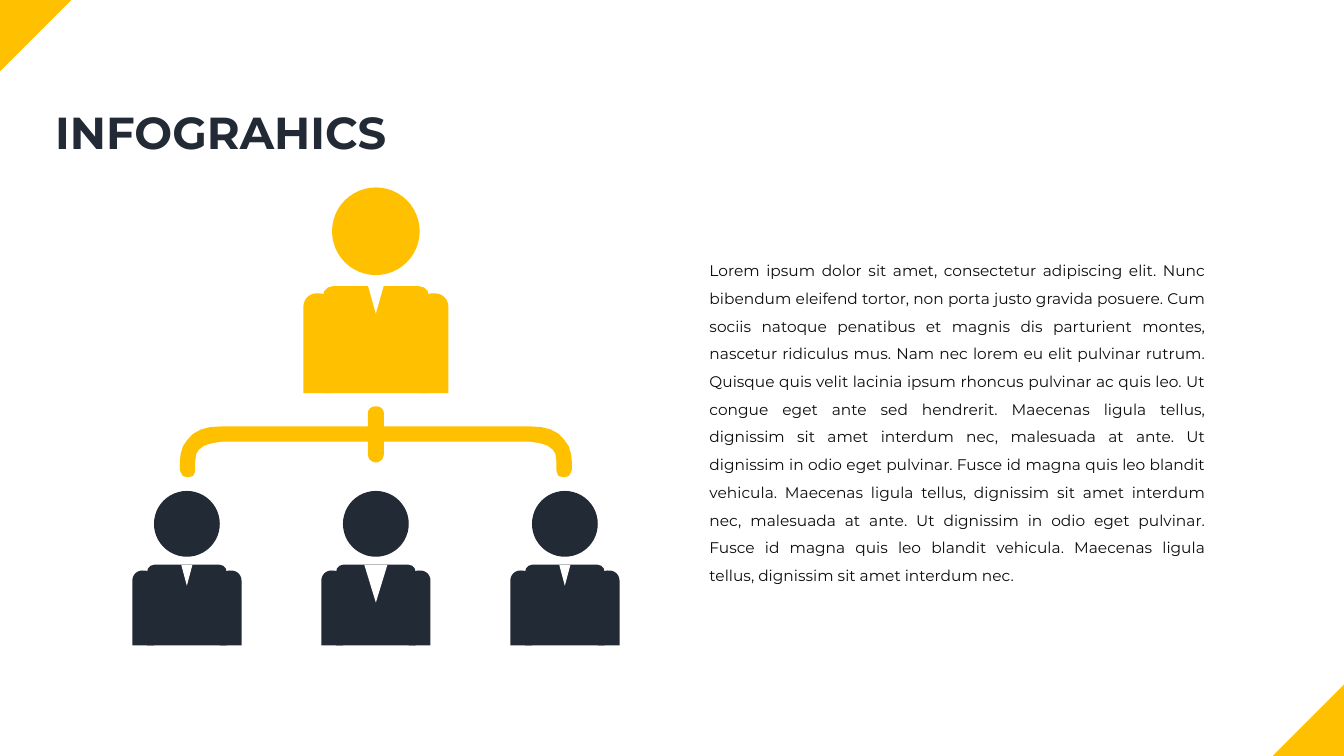
from pptx import Presentation
from pptx import util as u
from pptx.dml import color
from pptx.enum import shapes, text

Pt = u.Pt
PRESET = shapes.MSO_SHAPE
THEME = {
    "gold": color.RGBColor(0xFF, 0xC0, 0x00),
    "navy": color.RGBColor(0x22, 0x2A, 0x35),
    "white": color.RGBColor(0xFF, 0xFF, 0xFF),
    "ink": color.RGBColor(0x0D, 0x0D, 0x0D),
    "font": "Montserrat",
    "title size": Pt(32),
    "body size": Pt(11),
}

presentation = Presentation()
presentation.slide_width, presentation.slide_height = Pt(960), Pt(540)
slide = presentation.slides.add_slide(presentation.slide_layouts[6])


def paint(shape, tone):
    shape.shadow.inherit = False
    shape.fill.solid()
    shape.fill.fore_color.rgb = THEME[tone]
    shape.line.fill.background()


def add_preset(parent, preset, box, tone, rounding=None):
    shape = parent.shapes.add_shape(preset, *[Pt(value) for value in box])
    if rounding is not None:
        shape.adjustments[0] = rounding
    paint(shape, tone)
    return shape


# Corner triangles
for left, top, rotation in [(909, 489, 270), (0, 0, 90)]:
    corner = add_preset(slide, PRESET.RIGHT_TRIANGLE, (left, top, 51, 51), "gold")
    corner.rotation = rotation

# People: one leader above three team members
boss = {"head": 62.6, "head top": 133.9, "body": 75.6, "body top": 204.5,
        "arm": 20.7, "arm top": 209.5, "span": 103.6, "bottom": 280.8}
member = {"head": 47, "head top": 350.7, "body": 56.8, "body top": 403.4,
          "arm": 15.5, "arm top": 407.5, "span": 78, "bottom": 461}
middle, step = 268.5, 135
people = [
    (middle - step, member, "navy", (8, 15)),
    (middle, member, "navy", (16.5, 27)),
    (middle, boss, "gold", (11, 19.5)),
    (middle + step, member, "navy", (8, 15)),
]
for center, size, tone, (collar_width, collar_height) in people:
    person = slide.shapes.add_group_shape()
    body_height = size["bottom"] - size["body top"]
    arm_height = size["bottom"] - size["arm top"]
    add_preset(person, PRESET.ROUND_2_SAME_RECTANGLE,
               (center - size["body"] / 2, size["body top"], size["body"], body_height),
               tone, 0.09)
    add_preset(person, PRESET.OVAL,
               (center - size["head"] / 2, size["head top"], size["head"], size["head"]), tone)
    for arm_left in (center - size["span"] / 2, center + size["span"] / 2 - size["arm"]):
        add_preset(person, PRESET.ROUND_2_SAME_RECTANGLE,
                   (arm_left, size["arm top"], size["arm"], arm_height), tone, 0.46)
    add_preset(person, PRESET.FLOWCHART_MERGE,
               (center - collar_width / 2, size["body top"], collar_width, collar_height), "white")

# Bracket: right half as offsets from its top centre, mirrored for the left
bracket_top = 290.2
right_half = [
    (0, 0), (2, 0.3), (3.3, 0.8), (4.7, 2), (5.5, 3.6), (5.7, 5), (5.7, 14.4),
    (110.5, 14.4), (118.5, 14.9), (125, 16.6), (130.5, 19.6), (134.5, 23.8),
    (137.8, 28.6), (139.4, 34), (139.8, 37), (140, 40), (140, 45.5), (139.4, 47),
    (138.4, 49), (137.2, 50), (136, 50.4), (134.5, 50.6), (132.8, 50.4), (131, 50),
    (130, 49), (129.3, 47), (129, 45.5), (129, 39.6), (128.8, 37.5), (128.3, 34),
    (126.4, 31), (122.8, 28.2), (117.8, 26.5), (110.5, 25.3), (5.7, 25.3),
    (5.7, 34.5), (5.3, 36.3), (4.5, 38), (3.2, 39), (1.7, 39.8), (0, 40.2),
]
left_half = [(-x, y) for x, y in right_half[-2:0:-1]]
outline = [(Pt(middle + x), Pt(bracket_top + y)) for x, y in right_half + left_half]
builder = slide.shapes.build_freeform(*outline[0])
builder.add_line_segments(outline[1:], close=True)
paint(builder.convert_to_shape(), "gold")

# Text
BODY = (
    "Lorem ipsum dolor sit amet, consectetur adipiscing elit. Nunc bibendum eleifend tortor, "
    "non porta justo gravida posuere. Cum sociis natoque penatibus et magnis dis parturient "
    "montes, nascetur ridiculus mus. Nam nec lorem eu elit pulvinar rutrum. Quisque quis velit "
    "lacinia ipsum rhoncus pulvinar ac quis leo. Ut congue eget ante sed hendrerit. Maecenas "
    "ligula tellus, dignissim sit amet interdum nec, malesuada at ante. Ut dignissim in odio "
    "eget pulvinar. Fusce id magna quis leo blandit vehicula. Maecenas ligula tellus, dignissim "
    "sit amet interdum nec, malesuada at ante. Ut dignissim in odio eget pulvinar. Fusce id "
    "magna quis leo blandit vehicula. Maecenas ligula tellus, dignissim sit amet interdum nec."
)
texts = [
    (BODY, (499.7, 176.4, 368.6, 227.5), "ink",
     {"size": THEME["body size"], "name": THEME["font"]},
     {"alignment": text.PP_ALIGN.JUSTIFY, "line_spacing": 1.5}),
    ("INFOGRAHICS", (32.4, 71.3, 482.4, 46), "navy",
     {"size": THEME["title size"], "name": THEME["font"], "bold": True}, {}),
]
for words, box, tone, font_format, paragraph_format in texts:
    frame = slide.shapes.add_textbox(*[Pt(value) for value in box]).text_frame
    frame.word_wrap = True
    frame.auto_size = text.MSO_AUTO_SIZE.SHAPE_TO_FIT_TEXT
    paragraph = frame.paragraphs[0]
    run = paragraph.add_run()
    run.text = words
    run.font.color.rgb = THEME[tone]
    for target, values in [(run.font, font_format), (paragraph, paragraph_format)]:
        for key, value in values.items():
            setattr(target, key, value)

presentation.save("out.pptx")
